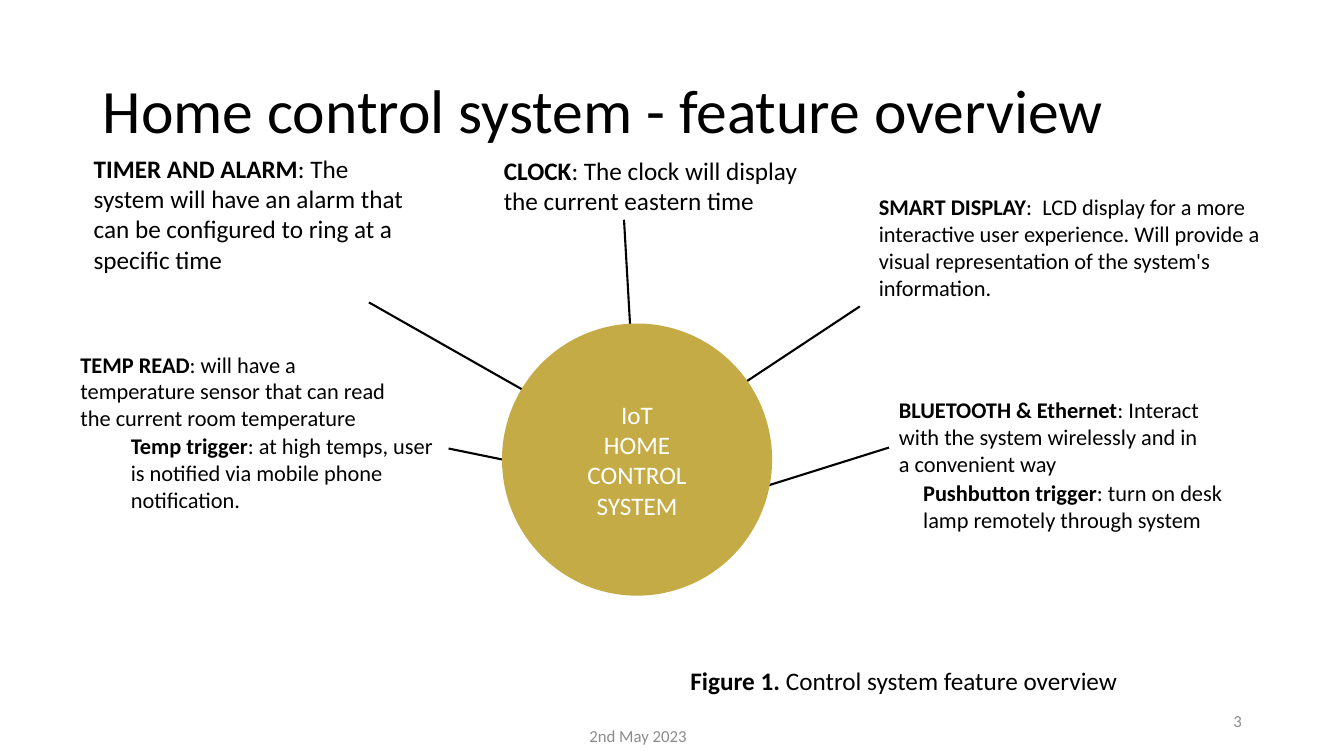
"""Build the feature overview slide of a home control system."""
from dataclasses import dataclass

from lxml.etree import SubElement
from pptx import Presentation
from pptx.dml.color import RGBColor
from pptx.enum.shapes import MSO_CONNECTOR, MSO_SHAPE
from pptx.enum.text import MSO_ANCHOR, MSO_AUTO_SIZE, PP_ALIGN
from pptx.oxml.ns import qn
from pptx.util import Inches, Pt

BLACK = RGBColor(0x00, 0x00, 0x00)
WHITE = RGBColor(0xFF, 0xFF, 0xFF)
GREY = RGBColor(0x8C, 0x8C, 0x8C)
GOLD = RGBColor(0xC4, 0xAB, 0x45)
WIDE, HIGH = Inches(13.33), Inches(7.5)


@dataclass(frozen=True)
class Box:
    """A frame in percent of the slide's width and height."""
    left: float
    top: float
    width: float
    height: float


@dataclass(frozen=True)
class Note:
    """A text with a bold lead."""
    box: Box
    lead: str
    text: str
    size: int = 16
    color: RGBColor = BLACK
    align: PP_ALIGN = PP_ALIGN.LEFT
    anchor: MSO_ANCHOR = MSO_ANCHOR.TOP


@dataclass(frozen=True)
class Spoke:
    """A line from a note to the hub, in percent of the slide."""
    x: float
    y: float
    hub_x: float
    hub_y: float


TITLE = Box(6.9, 5.33, 86.25, 19.33)
HUB = Box(37.35, 42.8, 20.1, 36)
HUB_TEXT = ("IoT", "HOME", "CONTROL SYSTEM")

SPOKES = (
    Spoke(66.15, 59.2, 54.68, 65.6),
    Spoke(27.45, 40, 40.65, 53.33),
    Spoke(46.43, 29.07, 47.1, 49.73),
    Spoke(33.38, 59.33, 40.73, 62),
    Spoke(63.98, 40.53, 53.1, 53.33),
)

NOTES = (
    Note(Box(6.23, 19.6, 25.35, 17.47), "TIMER AND ALARM",
         ": The system will have an alarm that can be configured to ring at a specific time", 18),
    Note(Box(36.75, 19.87, 24.75, 9.47), "CLOCK",
         ": The clock will display the current eastern time", 18),
    Note(Box(64.65, 24.93, 30.75, 15.73), "SMART DISPLAY",
         ":  LCD display for a more interactive user experience. "
         "Will provide a visual representation of the system's information."),
    Note(Box(5.25, 45.73, 24.45, 12.13), "TEMP READ",
         ": will have a temperature sensor that can read the current room temperature"),
    Note(Box(9, 56.53, 24.45, 12.13), "Temp trigger",
         ": at high temps, user is notified via mobile phone notification."),
    Note(Box(66.15, 51.73, 24.45, 15.73), "BLUETOOTH & Ethernet",
         ": Interact with the system wirelessly and in a convenient way"),
    Note(Box(67.95, 62.67, 25.2, 8.53), "Pushbutton trigger",
         ": turn on desk lamp remotely through system"),
    Note(Box(50.63, 87.33, 34.5, 5.33), "Figure 1. ", "Control system feature overview", 18),
    Note(Box(30.6, 94.67, 33.75, 5.33), "", "2nd May 2023", 12, GREY,
         PP_ALIGN.CENTER, MSO_ANCHOR.MIDDLE),
    Note(Box(70.65, 92.67, 22.5, 5.33), "", "3", 12, GREY,
         PP_ALIGN.RIGHT, MSO_ANCHOR.MIDDLE),
)


def across(share: float) -> int:
    """Turn a percentage of the width into a length."""
    return round(WIDE * share / 100)


def down(share: float) -> int:
    """Turn a percentage of the height into a length."""
    return round(HIGH * share / 100)


def frame(box: Box) -> tuple[int, int, int, int]:
    """Give left, top, width and height of a box."""
    return across(box.left), down(box.top), across(box.width), down(box.height)


def assign(target, values: dict) -> None:
    """Set each attribute named in the dict."""
    for name, value in values.items():
        setattr(target, name, value)


def style(font, size: int, color: RGBColor, bold: bool = False) -> None:
    """Format a font."""
    assign(font, {"name": "Calibri", "size": Pt(size), "bold": bold})
    font.color.rgb = color


def set_title(slide, text: str) -> None:
    """Place and fill the title."""
    title = slide.shapes.title
    assign(title, dict(zip(("left", "top", "width", "height"), frame(TITLE))))
    assign(title.text_frame, {"text": text, "word_wrap": True,
                              "auto_size": MSO_AUTO_SIZE.NONE,
                              "vertical_anchor": MSO_ANCHOR.MIDDLE})
    line = title.text_frame.paragraphs[0]
    assign(line, {"alignment": PP_ALIGN.LEFT, "line_spacing": 0.9})
    style(line.runs[0].font, 44, BLACK)


def add_spoke(slide, spoke: Spoke) -> None:
    """Draw a line to the hub."""
    line = slide.shapes.add_connector(
        MSO_CONNECTOR.STRAIGHT, across(spoke.x), down(spoke.y),
        across(spoke.hub_x), down(spoke.hub_y))
    line.line.color.rgb = BLACK
    line.line.width = Pt(1.5)
    SubElement(line.element.spPr, qn("a:effectLst"))


def add_hub(slide) -> None:
    """Draw the circle in the middle."""
    hub = slide.shapes.add_shape(MSO_SHAPE.OVAL, *frame(HUB))
    hub.shadow.inherit = False
    hub.fill.solid()
    hub.fill.fore_color.rgb = GOLD
    hub.line.fill.background()
    assign(hub.text_frame, {"text": "\n".join(HUB_TEXT), "word_wrap": True,
                            "vertical_anchor": MSO_ANCHOR.MIDDLE})
    for line in hub.text_frame.paragraphs:
        line.alignment = PP_ALIGN.CENTER
        style(line.runs[0].font, 18, WHITE)


def add_note(slide, note: Note) -> None:
    """Write a note with its bold lead."""
    body = slide.shapes.add_textbox(*frame(note.box)).text_frame
    assign(body, {"word_wrap": True, "vertical_anchor": note.anchor})
    line = body.paragraphs[0]
    line.alignment = note.align
    for text, bold in ((note.lead, True), (note.text, False)):
        if text:
            run = line.add_run()
            run.text = text
            style(run.font, note.size, note.color, bold)


def main() -> None:
    """Build and save the slide."""
    deck = Presentation()
    assign(deck, {"slide_width": WIDE, "slide_height": HIGH})
    slide = deck.slides.add_slide(deck.slide_layouts.get_by_name("Title Only"))
    set_title(slide, "Home control system - feature overview")
    for spoke in SPOKES:
        add_spoke(slide, spoke)
    add_hub(slide)
    for note in NOTES:
        add_note(slide, note)
    deck.save("out.pptx")


if __name__ == "__main__":
    main()
